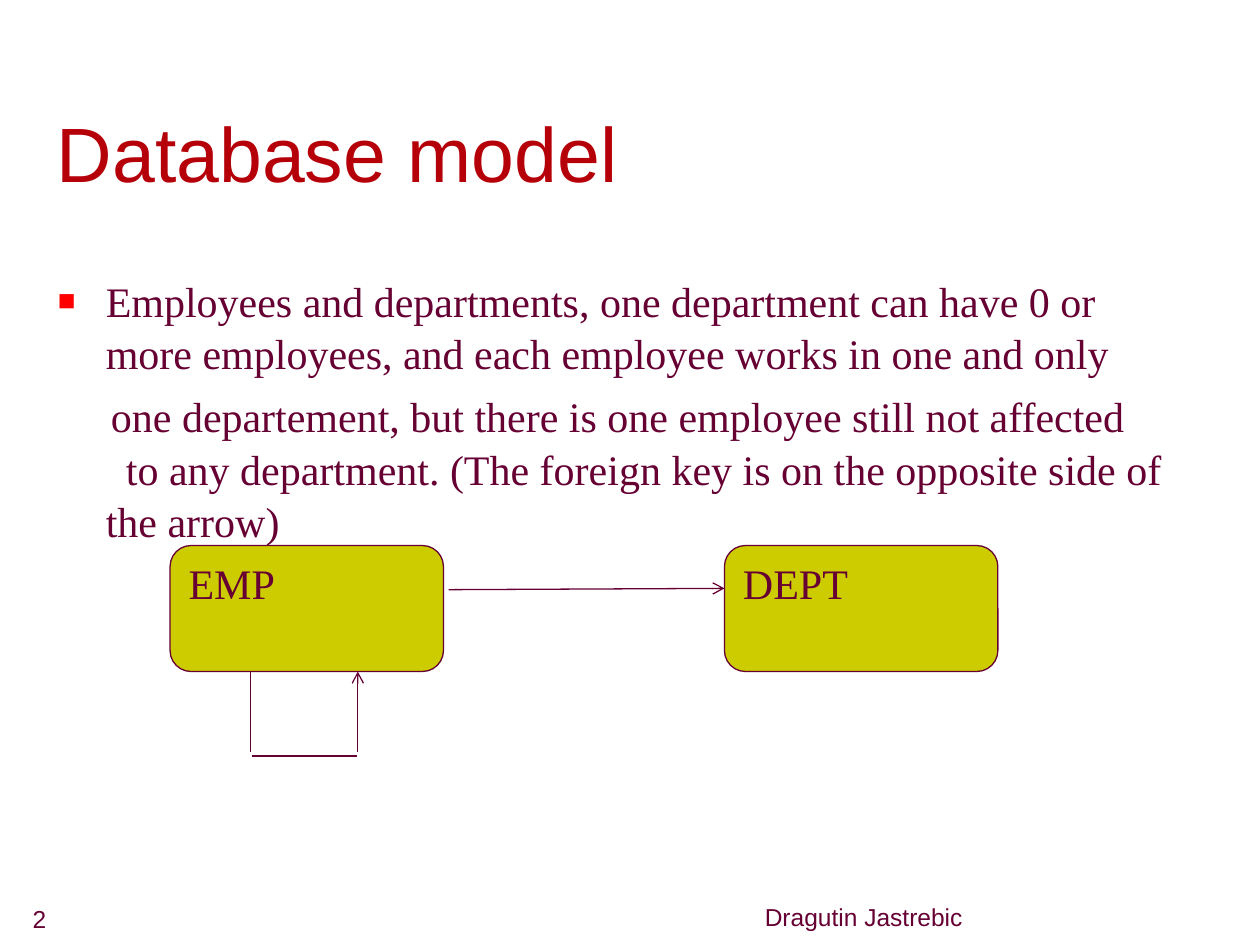
from lxml import etree
from pptx import Presentation, util as u
from pptx.dml.color import RGBColor
from pptx.enum import shapes, text
from pptx.oxml import ns

RED = RGBColor(0xB6, 0x00, 0x09)
WINE = RGBColor(0x66, 0x00, 0x33)
OLIVE = RGBColor(0xCC, 0xCC, 0x00)
SANS, SERIF = "Arial", "Times New Roman"
WIDE, HIGH = 10, 7.5
COLS, ROWS = 100, 75


def grid(*cells):
    steps = (WIDE / COLS, HIGH / ROWS)
    return [u.Inches(n * steps[i % 2]) for i, n in enumerate(cells)]


def place(shape, *cells):
    shape.left, shape.top, shape.width, shape.height = grid(*cells)


def node(parent, tag, **attrs):
    return etree.SubElement(parent, ns.qn(tag), attrs)


def write(shape, *lines, font=SANS, size=14, color=WINE, space=0,
          align=text.PP_ALIGN.LEFT, anchor=text.MSO_ANCHOR.TOP, lead=1.0):
    frame = shape.text_frame
    frame.word_wrap = True
    frame.auto_size = text.MSO_AUTO_SIZE.NONE
    frame.vertical_anchor = anchor
    paras = []
    for i, line in enumerate(lines):
        para = frame.add_paragraph() if i else frame.paragraphs[0]
        para.text = line
        para.alignment = align
        para.line_spacing = lead
        para.space_before = u.Pt(space if i else 0)
        face = para.runs[0].font
        face.name, face.size, face.color.rgb = font, u.Pt(size), color
        paras.append(para)
    return paras


def indent(para, first, mark=None):
    props = para._p.get_or_add_pPr()
    props.set("marL", str(u.Inches(0.38)))
    props.set("indent", str(u.Inches(first)))
    if mark:
        node(node(props, "a:buClr"), "a:srgbClr", val="FF0000")
        node(props, "a:buSzPct", val="70000")
        node(props, "a:buFont", typeface=SANS)
        node(props, "a:buChar", char=mark)
    else:
        node(props, "a:buNone")


def label(slide, cells, words, **form):
    box = slide.shapes.add_textbox(*grid(*cells))
    write(box, words, anchor=text.MSO_ANCHOR.BOTTOM, **form)


def entity(slide, col, name):
    box = slide.shapes.add_shape(
        shapes.MSO_SHAPE.ROUNDED_RECTANGLE, *grid(col, 43.3, 21.7, 10))
    box.shadow.inherit = False
    box.fill.solid()
    box.fill.fore_color.rgb = OLIVE
    box.line.color.rgb = WINE
    box.line.width = u.Pt(0.75)
    write(box, name, font=SERIF, size=24)


def link(slide, *ends, arrow=False):
    line = slide.shapes.add_connector(
        shapes.MSO_CONNECTOR.STRAIGHT, *grid(*ends))
    line.line.color.rgb = WINE
    line.line.width = u.Pt(0.75)
    if arrow:
        node(line.line._get_or_add_ln(), "a:tailEnd", type="arrow")
    node(line._element.spPr, "a:effectLst")


def main():
    deck = Presentation()
    deck.slide_width, deck.slide_height = u.Inches(WIDE), u.Inches(HIGH)
    slide = deck.slides.add_slide(deck.slide_layouts[1])

    title, body = slide.placeholders
    place(title, 3.5, 7.8, 94.5, 8.4)
    write(title, "Database model", size=44, color=RED,
          anchor=text.MSO_ANCHOR.BOTTOM)

    place(body, 3.6, 21.2, 89.8, 45)
    paras = write(
        body,
        "Employees and departments, one department can have 0 or more "
        "employees, and each employee works in one and only",
        "one departement, but there is one employee still not affected",
        "to any department. (The foreign key is on the opposite side of "
        "the arrow)",
        font=SERIF, size=24, space=6, lead=1.04)
    paras[2].space_before = u.Pt(0)
    for para, first, mark in zip(paras, (-0.38, 0.04, 0.16), ("■", None, None)):
        indent(para, first, mark)

    label(slide, (26.7, 69.4, 50.7, 5), "Dragutin Jastrebic",
          align=text.PP_ALIGN.RIGHT)
    label(slide, (1.6, 69.6, 20.8, 5), "2")

    entity(slide, 13.5, "EMP")
    entity(slide, 57.5, "DEPT")
    link(slide, 35.6, 46.8, 57.5, 46.7, arrow=True)
    link(slide, 28.4, 59.7, 28.4, 53.3, arrow=True)
    link(slide, 19.9, 53.3, 19.9, 59.7)
    link(slide, 20, 60, 28.3, 60)

    deck.save("out.pptx")


if __name__ == "__main__":
    main()
